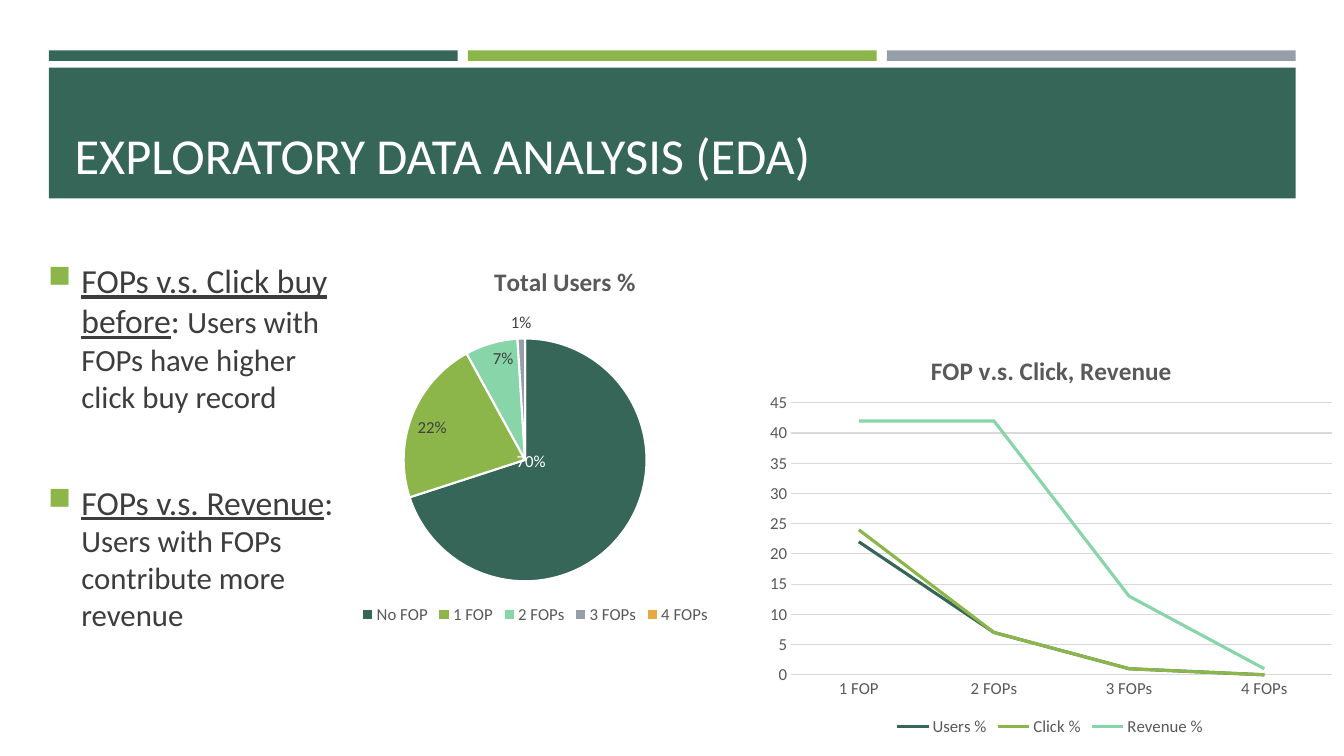
"""Build the exploratory data analysis slide with its pie and line charts."""
from dataclasses import dataclass

import pptx
import pptx.chart.data
import pptx.dml.color
import pptx.enum.chart
import pptx.enum.shapes
import pptx.enum.text
import pptx.oxml
import pptx.oxml.ns
import pptx.util


@dataclass(frozen=True)
class Theme:
    font: str = "Calibri"
    white: str = "FFFFFF"
    pine: str = "366658"
    leaf: str = "8CB64A"
    mint: str = "88D5A9"
    slate: str = "969FA7"
    amber: str = "E8A844"
    body: str = "3D3D3D"
    label: str = "404040"
    muted: str = "595959"
    grid: str = "D9D9D9"
    title_size: float = 36
    lead_size: float = 24
    body_size: float = 22
    chart_title_size: float = 18
    chart_size: float = 12


@dataclass(frozen=True)
class Box:
    """Left, top, width and height in percent of the slide."""
    x: float
    y: float
    w: float
    h: float

    def emu(self):
        return [int(share * side / 100) for share, side in
                zip((self.x, self.y, self.w, self.h), (prs.slide_width, prs.slide_height) * 2)]


@dataclass(frozen=True)
class Finding:
    lead: str
    text: str
    before: float


@dataclass(frozen=True)
class Line:
    name: str
    values: tuple
    color: str


@dataclass(frozen=True)
class Slice:
    name: str
    value: int
    color: str
    position: object = None
    label_color: str = Theme.label
    shift: tuple = ()


T = Theme()
POS = pptx.enum.chart.XL_LABEL_POSITION
BAND = Box(3.64, 8.93, 92.76, 17.33)
TITLE = Box(4.8, 10.27, 90.45, 14.8)
BODY = Box(2.85, 33.73, 23.55, 53.07)
PIE = Box(21, 31.2, 37.65, 52)
LINES = Box(56.25, 43.47, 43.73, 54.53)
STRIPES = (T.pine, T.leaf, T.slate)
STRIPE_GAP = 0.75
FINDINGS = (
    Finding("FOPs v.s. Click buy before", "Users with FOPs have higher click buy record", 0),
    Finding("FOPs v.s. Revenue", "Users with FOPs contribute more revenue", 42),
)
SLICES = (
    Slice("No FOP", 70, T.pine, POS.CENTER, T.white, (-0.085, -0.087)),
    Slice("1 FOP", 22, T.leaf, POS.INSIDE_END),
    Slice("2 FOPs", 7, T.mint, POS.INSIDE_END),
    Slice("3 FOPs", 1, T.slate, POS.OUTSIDE_END),
    Slice("4 FOPs", 0, T.amber),
)
SERIES = (
    Line("Users %", (22, 7, 1, 0), T.pine),
    Line("Click %", (24, 7, 1, 0), T.leaf),
    Line("Revenue %", (42, 42, 13, 1), T.mint),
)


def rgb(color: str):
    return pptx.dml.color.RGBColor.from_string(color)


def style(font, size: float, color: str) -> None:
    font.name, font.size = T.font, pptx.util.Pt(size)
    font.color.rgb = rgb(color)


def add_run(p, text: str, size: float, color: str, underline: bool = False) -> None:
    r = p.add_run()
    r.text = text
    style(r.font, size, color)
    if underline:
        r.font.underline = True


def add_rect(s, box: Box, color: str) -> None:
    sp = s.shapes.add_shape(pptx.enum.shapes.MSO_SHAPE.RECTANGLE, *box.emu())
    sp.shadow.inherit = False
    sp.fill.solid()
    sp.fill.fore_color.rgb = rgb(color)
    sp.line.fill.background()


def add_title(s, text: str) -> None:
    sp = s.shapes.title
    sp.left, sp.top, sp.width, sp.height = TITLE.emu()
    sp.element.getparent().append(sp.element)
    tf = sp.text_frame
    tf.auto_size = pptx.enum.text.MSO_AUTO_SIZE.NONE
    tf.vertical_anchor = pptx.enum.text.MSO_ANCHOR.BOTTOM
    p = tf.paragraphs[0]
    p.alignment = pptx.enum.text.PP_ALIGN.LEFT
    add_run(p, text, T.title_size, T.white)


def add_findings(s) -> None:
    tf = s.shapes.add_textbox(*BODY.emu()).text_frame
    tf.word_wrap = True
    for i, finding in enumerate(FINDINGS):
        p = tf.add_paragraph() if i else tf.paragraphs[0]
        p.space_before, p.space_after = pptx.util.Pt(finding.before), pptx.util.Pt(6)
        pPr = p._p.get_or_add_pPr()
        indent = pptx.util.Inches(0.33)
        pPr.set("marL", str(indent))
        pPr.set("indent", str(-indent))
        ns = pptx.oxml.ns.nsdecls("a")
        for xml in (f'<a:buClr {ns}><a:srgbClr val="{T.leaf}"/></a:buClr>',
                    f'<a:buSzPct {ns} val="92000"/>', f'<a:buChar {ns} char="■"/>'):
            pPr.append(pptx.oxml.parse_xml(xml))
        add_run(p, finding.lead, T.lead_size, T.body, True)
        add_run(p, ": ", T.lead_size, T.body)
        add_run(p, finding.text, T.body_size, T.body)


def set_layout(parent, index: int, inner: bool = False, edge: bool = True, **shares: float) -> None:
    """Give a chart part a manual layout in shares of the chart."""
    qn = pptx.oxml.ns.qn
    for old in parent.findall(qn("c:layout")):
        parent.remove(old)
    tags = [("layoutTarget", "inner")] if inner else []
    tags += [("xMode", "edge"), ("yMode", "edge")] if edge else []
    tags += shares.items()
    body = "".join(f'<c:{tag} val="{value}"/>' for tag, value in tags)
    parent.insert(index, pptx.oxml.parse_xml(
        f'<c:layout {pptx.oxml.ns.nsdecls("c")}><c:manualLayout>{body}</c:manualLayout></c:layout>'))


def add_chart(s, kind, box: Box, title: str, title_at: dict, plot_at: dict, names, series):
    data = pptx.chart.data.CategoryChartData()
    data.categories = names
    for name, values in series:
        data.add_series(name, values)
    chart = s.shapes.add_chart(kind, *box.emu(), data).chart
    style(chart.font, T.chart_size, T.muted)
    chart.has_title = True
    add_run(chart.chart_title.text_frame.paragraphs[0], title, T.chart_title_size, T.muted)
    set_layout(chart.chart_title._element, 1, **title_at)
    set_layout(chart._chartSpace.chart.plotArea, 0, inner=True, **plot_at)
    chart.has_legend = True
    chart.legend.position = pptx.enum.chart.XL_LEGEND_POSITION.BOTTOM
    chart.legend.include_in_layout = False
    style(chart.legend.font, T.chart_size, T.muted)
    return chart


def add_pie(s) -> None:
    chart = add_chart(s, pptx.enum.chart.XL_CHART_TYPE.PIE, PIE, "Total Users %",
                      dict(x=0.41, y=0.06), dict(x=0.24, y=0.26, w=0.48, h=0.62),
                      [c.name for c in SLICES], [("Series 1", [c.value for c in SLICES])])
    chart.plots[0].vary_by_categories = True
    ser = chart.plots[0].series[0]
    ser.data_labels.show_value = False
    for i, part in enumerate(SLICES):
        point = ser.points[i]
        point.format.fill.solid()
        point.format.fill.fore_color.rgb = rgb(part.color)
        point.format.line.color.rgb = rgb(T.white)
        point.format.line.width = pptx.util.Pt(1.5)
        if part.position is None:
            continue
        label = point.data_label
        style(label.font, T.chart_size, part.label_color)
        label.position = part.position
        dLbl = ser.data_labels._element.findall(pptx.oxml.ns.qn("c:dLbl"))[i]
        dLbl.find(pptx.oxml.ns.qn("c:showVal")).set("val", "0")
        dLbl.find(pptx.oxml.ns.qn("c:showPercent")).set("val", "1")
        if part.shift:
            set_layout(dLbl, 1, edge=False, x=part.shift[0], y=part.shift[1])


def add_lines(s) -> None:
    chart = add_chart(s, pptx.enum.chart.XL_CHART_TYPE.LINE, LINES, "FOP v.s. Click, Revenue",
                      dict(x=0.29, y=0.05), dict(x=0.06, y=0.18, w=0.92, h=0.66),
                      [c.name for c in SLICES[1:]], [(n.name, n.values) for n in SERIES])
    chart.plots[0].vary_by_categories = False
    for ser, line in zip(chart.plots[0].series, SERIES):
        ser.smooth = False
        ser.format.line.color.rgb = rgb(line.color)
        ser.format.line.width = pptx.util.Pt(2.25)
    val, cat = chart.value_axis, chart.category_axis
    val.minimum_scale, val.maximum_scale, val.major_unit = 0, 45, 5
    for axis in (val, cat):
        axis.major_tick_mark = pptx.enum.chart.XL_TICK_MARK.NONE
        style(axis.tick_labels.font, T.chart_size, T.muted)
    val.format.line.fill.background()
    for line in (val.major_gridlines.format.line, cat.format.line):
        line.color.rgb = rgb(T.grid)
        line.width = pptx.util.Pt(0.75)


prs = pptx.Presentation()
prs.slide_width, prs.slide_height = pptx.util.Inches(13.33), pptx.util.Inches(7.5)
s = prs.slides.add_slide(prs.slide_layouts[5])
stripe = (BAND.w - STRIPE_GAP * (len(STRIPES) - 1)) / len(STRIPES)
for i, color in enumerate(STRIPES):
    add_rect(s, Box(BAND.x + i * (stripe + STRIPE_GAP), 6.67, stripe, 1.4), color)
add_rect(s, BAND, T.pine)
add_title(s, "EXPLORATORY DATA ANALYSIS (EDA)")
add_findings(s)
add_lines(s)
add_pie(s)
prs.save("out.pptx")
